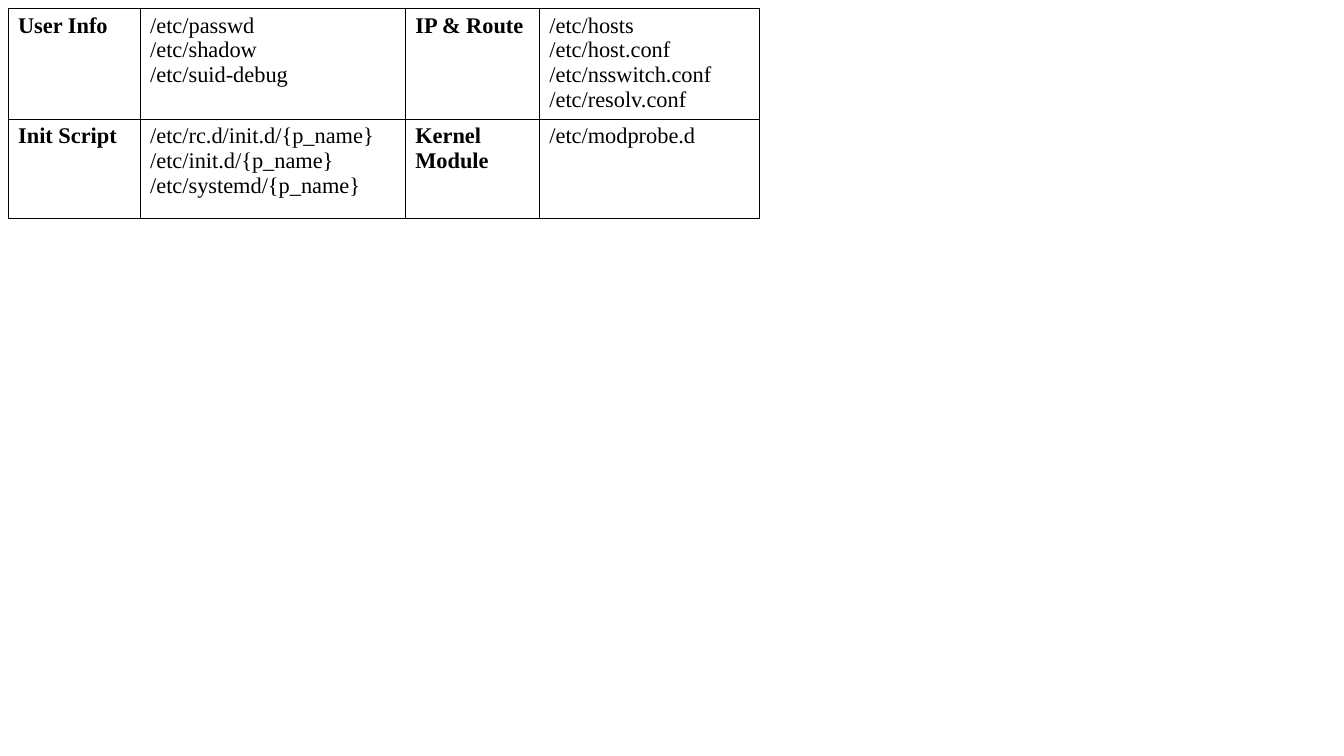
from pptx import Presentation
from pptx.dml.color import RGBColor
from pptx.oxml.ns import qn
from pptx.util import Inches, Pt
from lxml.etree import SubElement

# Content: each row alternates a topic and its configuration files
CONFIG_ROWS = [
    [["User Info"], ["/etc/passwd", "/etc/shadow", "/etc/suid-debug"],
     ["IP & Route"], ["/etc/hosts", "/etc/host.conf", "/etc/nsswitch.conf", "/etc/resolv.conf"]],
    [["Init Script"], ["/etc/rc.d/init.d/{p_name}", "/etc/init.d/{p_name}", "/etc/systemd/{p_name}"],
     ["Kernel Module"], ["/etc/modprobe.d"]],
]
COLUMN_WIDTHS = [1.31, 2.63, 1.33, 2.18]
ROW_HEIGHTS = [1.1, 0.99]
LEFT = TOP = 0.08

BLACK = RGBColor(0x00, 0x00, 0x00)
FONT = {"name": "Times New Roman", "size": Pt(16)}
BORDER_WIDTH = Pt(0.5)


def add_borders(cell):
    properties = cell._tc.get_or_add_tcPr()
    for position, side in enumerate(("a:lnL", "a:lnR", "a:lnT", "a:lnB")):
        border = SubElement(properties, qn(side), w=str(BORDER_WIDTH))
        fill = SubElement(border, qn("a:solidFill"))
        SubElement(fill, qn("a:srgbClr"), val=str(BLACK))
        properties.insert(position, border)


def fill_cell(cell, lines, is_topic):
    cell.fill.background()
    add_borders(cell)
    frame = cell.text_frame
    frame.text = "\n".join(lines)
    for paragraph in frame.paragraphs:
        font = paragraph.runs[0].font
        for attribute, value in FONT.items():
            setattr(font, attribute, value)
        font.bold = is_topic
        font.color.rgb = BLACK


def main():
    deck = Presentation()
    deck.slide_width, deck.slide_height = Inches(13.33), Inches(7.5)
    slide = deck.slides.add_slide(deck.slide_layouts[6])

    # Table grid
    config_table = slide.shapes.add_table(
        len(ROW_HEIGHTS), len(COLUMN_WIDTHS), Inches(LEFT), Inches(TOP),
        Inches(sum(COLUMN_WIDTHS)), Inches(sum(ROW_HEIGHTS))).table
    config_table.first_row = config_table.horz_banding = False
    for column, width in zip(config_table.columns, COLUMN_WIDTHS):
        column.width = Inches(width)
    for row, height in zip(config_table.rows, ROW_HEIGHTS):
        row.height = Inches(height)

    # Topics in bold, file lists in regular weight
    for row, entries in zip(config_table.rows, CONFIG_ROWS):
        for index, (cell, lines) in enumerate(zip(row.cells, entries)):
            fill_cell(cell, lines, is_topic=index % 2 == 0)

    deck.save("out.pptx")


if __name__ == "__main__":
    main()
